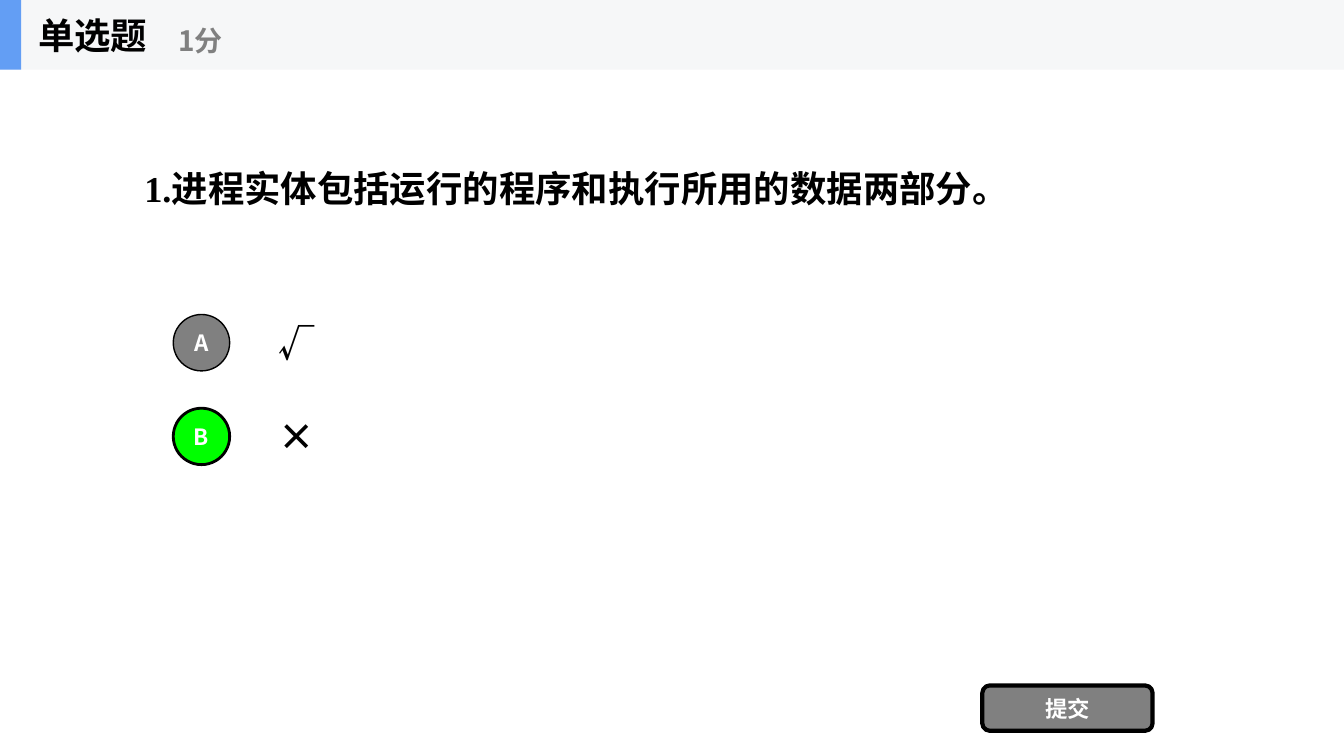
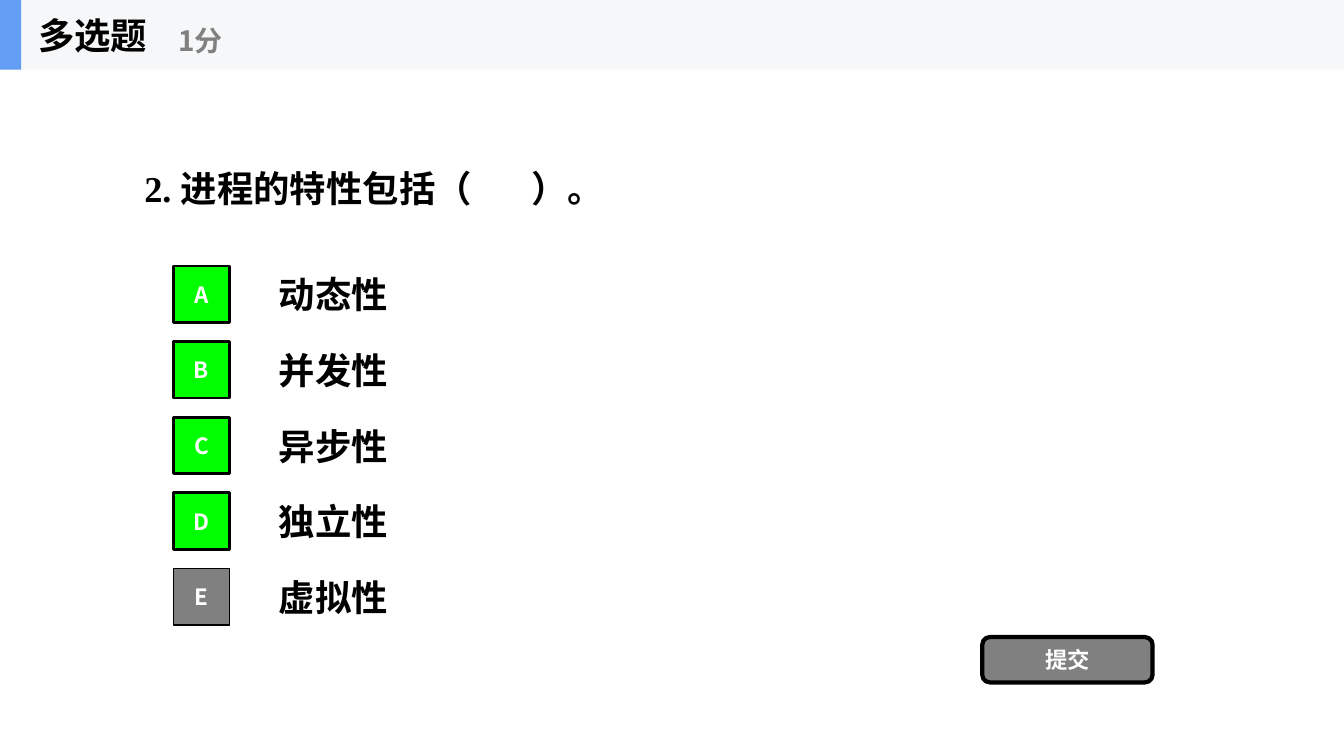
"""Builds two quiz slides: a single-choice and a multiple-choice question."""
from pptx import Presentation
from pptx import util as u
from pptx.dml.color import RGBColor
from pptx.enum import shapes, text
from pptx.oxml import parse_xml
from pptx.oxml.ns import nsdecls

COLORS = {"ink": "000000", "white": "FFFFFF", "grey": "808080", "right": "00FF00",
          "band": "F6F7F8", "accent": "639EF4"}
SANS, SERIF = "Noto Sans CJK SC", "Times New Roman"
WIDTH, HEIGHT = 13.34, 7.5
BAND_HEIGHT = 0.69
LABEL_HEIGHT, MARKER_SIZE = 0.7, 0.56
BLANK_TAB = 3.84
KIND = shapes.MSO_SHAPE

QUESTIONS = [
    {"kind": "单选题", "score": "1分", "question": "1.进程实体包括运行的程序和执行所用的数据两部分。",
     "options": ["√", "×"], "answers": "B", "marker": KIND.OVAL,
     "top": 3.05, "pitch": 0.93, "submit_top": 6.8},
    {"kind": "多选题", "score": "1分", "question": "2. 进程的特性包括（\t）。",
     "options": ["动态性", "并发性", "异步性", "独立性", "虚拟性"], "answers": "ABCD",
     "marker": KIND.RECTANGLE, "top": 2.57, "pitch": 0.75, "submit_top": 6.32},
]


def color(name):
    return RGBColor.from_string(COLORS[name])


def write(shape, words, size, ink="ink", font=SANS, align=text.PP_ALIGN.LEFT):
    frame = shape.text_frame
    frame.word_wrap = True
    frame.vertical_anchor = text.MSO_ANCHOR.MIDDLE
    frame.text = words
    paragraph = frame.paragraphs[0]
    paragraph.alignment = align
    for run in paragraph.runs:
        run.font.size, run.font.bold, run.font.name = u.Pt(size), True, font
        run.font.color.rgb = color(ink)
        run.font._element.append(parse_xml(f'<a:ea {nsdecls("a")} typeface="{SANS}"/>'))
    return paragraph


def add_label(slide, place, words, size, **style):
    box = slide.shapes.add_textbox(*map(u.Inches, place))
    return write(box, words, size, **style)


def add_block(slide, kind, place, fill, line_width=0, words=""):
    shape = slide.shapes.add_shape(kind, *map(u.Inches, place))
    shape.shadow.inherit = False
    shape.fill.solid()
    shape.fill.fore_color.rgb = color(fill)
    if line_width:
        shape.line.color.rgb = color("ink")
        shape.line.width = u.Pt(line_width)
    else:
        shape.line.fill.background()
    if words:
        write(shape, words, 16, ink="white", align=text.PP_ALIGN.CENTER)


def add_header(slide, kind, score):
    add_block(slide, KIND.RECTANGLE, (0, 0, WIDTH, BAND_HEIGHT), "band")
    add_block(slide, KIND.RECTANGLE, (0, 0, 0.21, BAND_HEIGHT), "accent")
    add_label(slide, (0.28, 0, 2.08, BAND_HEIGHT), kind, 26)
    add_label(slide, (1.67, 0.12, 2.5, 0.56), score, 20, ink="grey")


def add_question(slide, words):
    paragraph = add_label(slide, (WIDTH / 10, BAND_HEIGHT, WIDTH * 0.8, 2.34),
                          words, 26, font=SERIF)
    if "\t" in words:
        stop = f'<a:tab pos="{u.Inches(BLANK_TAB)}" algn="l"/>'
        tabs = parse_xml(f'<a:tabLst {nsdecls("a")}>{stop}</a:tabLst>')
        paragraph._p.get_or_add_pPr().append(tabs)


def add_options(slide, item):
    inset = (LABEL_HEIGHT - MARKER_SIZE) / 2
    for row, (letter, option) in enumerate(zip("ABCDE", item["options"])):
        top = item["top"] + row * item["pitch"]
        fill, line_width = ("right", 2) if letter in item["answers"] else ("grey", 1)
        add_label(slide, (WIDTH / 5, top, WIDTH * 0.7, LABEL_HEIGHT), option, 26)
        add_block(slide, item["marker"], (1.72, top + inset, MARKER_SIZE, MARKER_SIZE),
                  fill, line_width, letter)


def main():
    presentation = Presentation()
    presentation.slide_width, presentation.slide_height = u.Inches(WIDTH), u.Inches(HEIGHT)
    for item in QUESTIONS:
        slide = presentation.slides.add_slide(presentation.slide_layouts[6])
        add_question(slide, item["question"])
        add_options(slide, item)
        add_block(slide, KIND.ROUNDED_RECTANGLE, (9.75, item["submit_top"], 1.69, 0.45),
                  "grey", 3, "提交")
        add_header(slide, item["kind"], item["score"])
    presentation.save("out.pptx")


if __name__ == "__main__":
    main()
